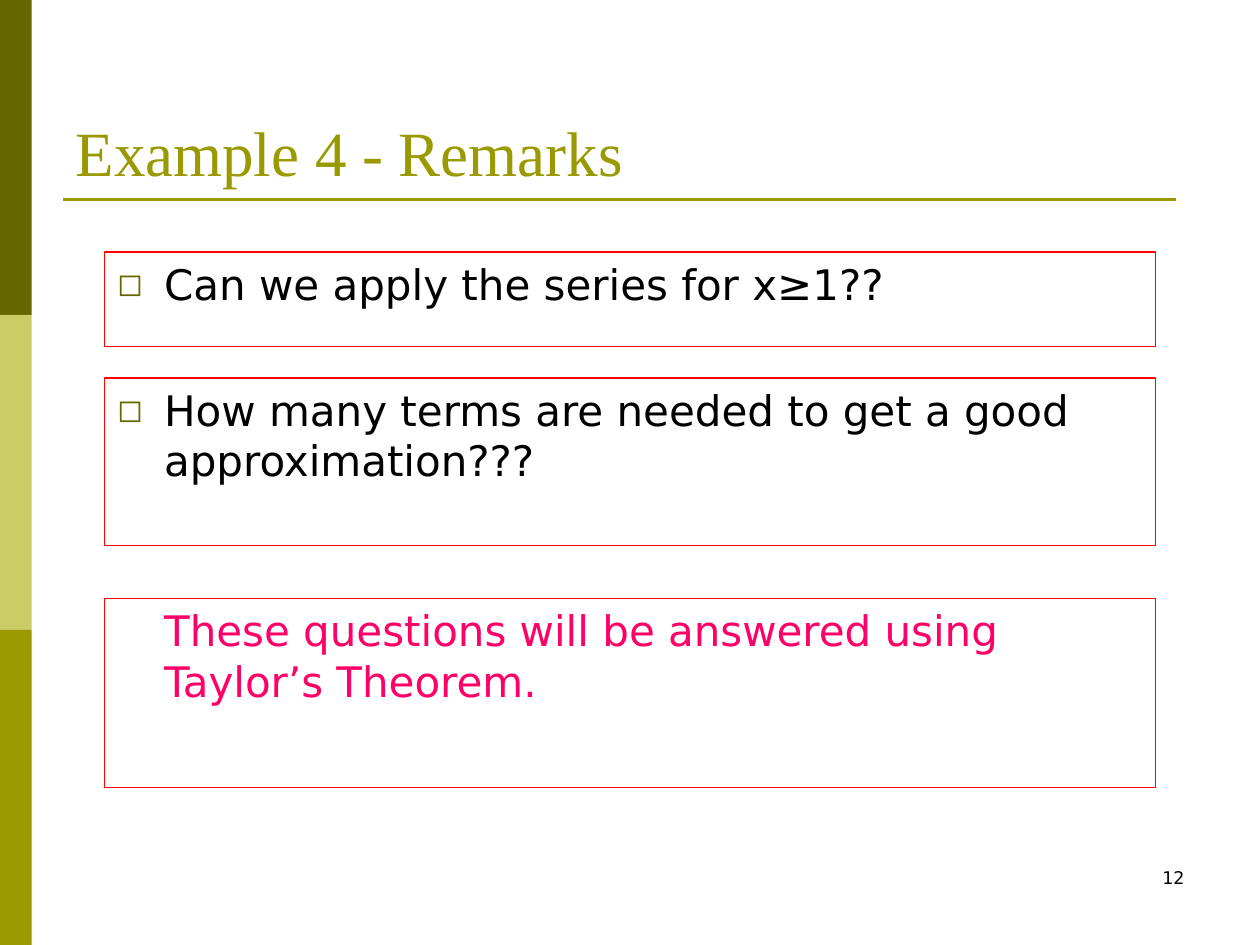
import pptx
import pptx.util
import pptx.dml.color
import pptx.enum.shapes
import pptx.enum.text
import pptx.oxml.ns
from lxml import etree

Cm, Pt = pptx.util.Cm, pptx.util.Pt
ALIGN = pptx.enum.text.PP_ALIGN
ANCHOR = pptx.enum.text.MSO_ANCHOR
BODY_FONT = "DejaVu Sans"


def rgb(value):
    """Turn a hex string into a colour."""
    return pptx.dml.color.RGBColor.from_string(value)


def add_run(p, text, size, font, color):
    """Add one formatted run to a paragraph."""
    r = p.add_run()
    r.text = text
    r.font.size, r.font.name = Pt(size), font
    r.font.color.rgb = rgb(color)


def set_hanging(p, indent, bullet):
    """Indent a paragraph, with a hanging square bullet if asked for."""
    pPr = p._p.get_or_add_pPr()
    pPr.set("marL", str(Cm(indent)))
    pPr.set("indent", str(-Cm(indent) if bullet else 0))
    qn = pptx.oxml.ns.qn
    if not bullet:
        etree.SubElement(pPr, qn("a:buNone"))
        return
    color = etree.SubElement(pPr, qn("a:buClr"))
    etree.SubElement(color, qn("a:srgbClr"), val="666600")
    etree.SubElement(pPr, qn("a:buSzPct"), val="75000")
    etree.SubElement(pPr, qn("a:buFont"), typeface=BODY_FONT)
    etree.SubElement(pPr, qn("a:buChar"), char="◻")


def add_side_bar(s, x, y, w, h, colors):
    """Stack equal colour bands down the given box."""
    band = h / len(colors)
    for i, color in enumerate(colors):
        sp = s.shapes.add_shape(pptx.enum.shapes.MSO_SHAPE.RECTANGLE,
                                Cm(x), Cm(y + i * band), Cm(w), Cm(band))
        sp.shadow.inherit = False
        sp.fill.solid()
        sp.fill.fore_color.rgb = rgb(color)
        sp.line.fill.background()


def add_title(s, x, y, w, h, text):
    """Place the title at the foot of the box, with a rule below it."""
    sp = s.shapes.title
    sp.left, sp.top, sp.width, sp.height = Cm(x), Cm(y), Cm(w), Cm(h)
    tf = sp.text_frame
    tf.vertical_anchor = ANCHOR.BOTTOM
    p = tf.paragraphs[0]
    p.alignment = ALIGN.LEFT
    add_run(p, text, 36, "Times New Roman", "999900")
    rule_y = Cm(y + h + 0.08)
    rule = s.shapes.add_connector(pptx.enum.shapes.MSO_CONNECTOR.STRAIGHT,
                                  Cm(x), rule_y, Cm(x + w - 0.43), rule_y)
    rule.line.color.rgb = rgb("999900")
    rule.line.width = Pt(1.5)
    etree.SubElement(rule._element.spPr, pptx.oxml.ns.qn("a:effectLst"))


def add_remark(s, x, y, w, h, text, color="000000", bullet=True):
    """Add a red-framed remark in the given box."""
    sp = s.shapes.add_shape(pptx.enum.shapes.MSO_SHAPE.RECTANGLE,
                            Cm(x), Cm(y), Cm(w), Cm(h))
    sp.shadow.inherit = False
    sp.fill.background()
    sp.line.color.rgb = rgb("FF0000")
    sp.line.width = Pt(0.75)
    tf = sp.text_frame
    tf.word_wrap = True
    tf.vertical_anchor = ANCHOR.TOP
    p = tf.paragraphs[0]
    p.alignment = ALIGN.LEFT
    set_hanging(p, 0.95, bullet)
    add_run(p, text, 24, BODY_FONT, color)


def add_page_number(s, x, y, w, h, number):
    """Add the right-aligned page number in the given box."""
    tf = s.shapes.add_textbox(Cm(x), Cm(y), Cm(w), Cm(h)).text_frame
    tf.word_wrap = True
    p = tf.paragraphs[0]
    p.alignment = ALIGN.RIGHT
    add_run(p, number, 10, BODY_FONT, "000000")


def main():
    """Build and save the slide."""
    prs = pptx.Presentation()
    prs.slide_width, prs.slide_height = Cm(25.4), Cm(19.05)
    s = prs.slides.add_slide(prs.slide_layouts[5])
    add_side_bar(s, 0, 0, 0.64, 19.05, ["666600", "CCCC66", "999900"])
    add_title(s, 1.27, 0.76, 22.86, 3.18, "Example 4 - Remarks")
    x, w = 2.11, 21.18
    add_remark(s, x, 5.08, w, 1.9, "Can we apply the series for x≥1??")
    add_remark(s, x, 7.62, w, 3.38,
               "How many terms are needed to get a good approximation???")
    add_remark(s, x, 12.07, w, 3.81,
               "These questions will be answered using Taylor’s Theorem.",
               color="FF0066", bullet=False)
    add_page_number(s, 18.21, 17.35, 5.92, 1.27, "12")
    prs.save("out.pptx")


if __name__ == "__main__":
    main()
